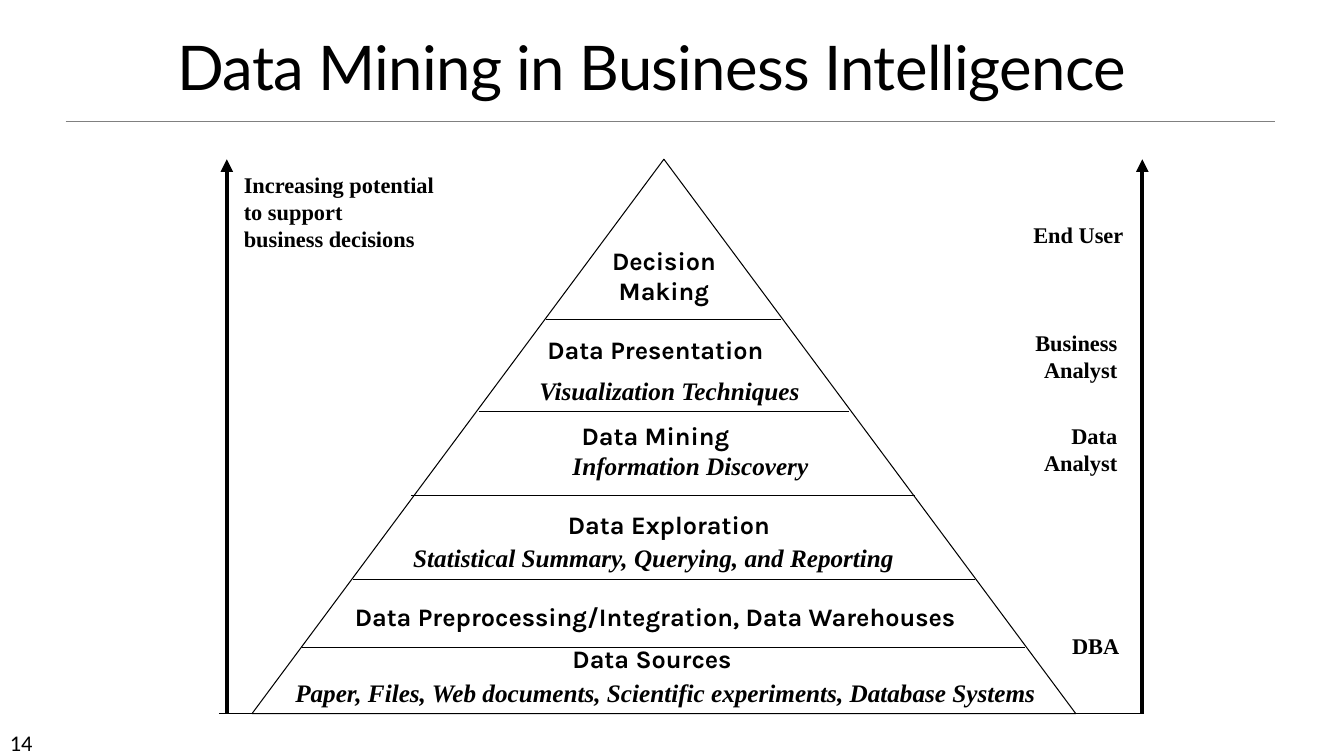
from lxml import etree
from pptx import Presentation
from pptx.dml.color import RGBColor
from pptx.enum.shapes import MSO_CONNECTOR, MSO_SHAPE
from pptx.enum.text import MSO_ANCHOR, MSO_AUTO_SIZE, PP_ALIGN
from pptx.oxml.ns import qn
from pptx.util import Inches, Pt

STRAIGHT = MSO_CONNECTOR.STRAIGHT
TRIANGLE = MSO_SHAPE.FLOWCHART_EXTRACT
LEFT, CENTER, RIGHT = PP_ALIGN.LEFT, PP_ALIGN.CENTER, PP_ALIGN.RIGHT
MIDDLE = MSO_ANCHOR.MIDDLE
GROW = MSO_AUTO_SIZE.SHAPE_TO_FIT_TEXT

BLACK = "000000"
GREY = "808080"
SERIF = "Times New Roman"
HEADING = "Karla"

presentation = Presentation()
presentation.slide_width = Inches(13.33)
presentation.slide_height = Inches(7.5)
slide = presentation.slides.add_slide(presentation.slide_layouts[6])


def add_line(start, end, width=0.75, color=BLACK, arrow=False):
    line = slide.shapes.add_connector(STRAIGHT, *map(Inches, start + end))
    line.line.color.rgb = RGBColor.from_string(color)
    line.line.width = Pt(width)
    if arrow:
        etree.SubElement(line.line._get_or_add_ln(), qn("a:tailEnd"), type="triangle")
    etree.SubElement(line._element.spPr, qn("a:effectLst"))
    return line


def add_text(box, lines, size, font, bold=True, italic=False, align=LEFT, wrap=False):
    """Add a text box with one paragraph per line."""
    shape = slide.shapes.add_textbox(*map(Inches, box))
    frame = shape.text_frame
    frame.word_wrap = wrap
    frame.auto_size = GROW
    for index, text in enumerate(lines):
        paragraph = frame.paragraphs[0] if index == 0 else frame.add_paragraph()
        paragraph.alignment = align
        run = paragraph.add_run()
        run.text = text
        run.font.size = Pt(size)
        run.font.name = font
        run.font.bold = bold
        run.font.italic = italic
        run.font.color.rgb = RGBColor.from_string(BLACK)
    return shape


# Title, rule and slide number
add_line((0.65, 1.2), (12.65, 1.2), 0.5, GREY)
add_text((0, 7.18, 1.17, 0.3), ["14"], 16, "Calibri", bold=False, wrap=True)
title = add_text((0.56, 0.42, 11.96, 0.58), ["Data Mining in Business Intelligence "],
                 44, "Lato", bold=False, align=CENTER, wrap=True).text_frame
title.auto_size = MSO_AUTO_SIZE.NONE
title.vertical_anchor = MIDDLE
title.paragraphs[0].line_spacing = 0.85
title.paragraphs[0].runs[0].font._element.set("spc", "-50")

# Pyramid and its level dividers
pyramid = slide.shapes.add_shape(TRIANGLE, *map(Inches, (2.5, 1.58, 8.17, 5.5)))
pyramid.shadow.inherit = False
pyramid.fill.background()
pyramid.line.color.rgb = RGBColor.from_string(BLACK)
pyramid.line.width = Pt(0.75)

dividers = [(3, 10.17, 6.42), (3.5, 9.67, 5.75), (4.08, 9.08, 4.92),
            (4.75, 8.42, 4.08), (5.42, 7.75, 3.17), (2.17, 11.33, 7.08)]
for left, right, y in dividers:
    add_line((left, y), (right, y))

for x in (2.25, 11.33):
    add_line((x, 7.08), (x, 1.58), 3, arrow=True)

# Side labels
add_text((2.32, 1.65, 2.1, 0.9),
         ["Increasing potential", "to support", "business decisions"], 16, SERIF)
roles = [
    ((10.14, 2.14, 1.1, 0.37), ["End User"]),
    ((10.14, 3.22, 1.04, 0.64), ["Business", "Analyst"]),
    ((10.24, 4.14, 0.94, 0.64), ["Data", "Analyst"]),
    ((10.53, 6.22, 0.67, 0.37), ["DBA"]),
]
for box, lines in roles:
    add_text(box, lines, 16, SERIF, align=RIGHT)

# Level names, then the techniques or sources under them
add_text((5.92, 2.38, 1.33, 0.7), ["Decision Making"], 18, HEADING,
         align=CENTER, wrap=True)
add_text((5.35, 5, 2.57, 0.4), ["Data Exploration"], 18, HEADING,
         align=CENTER, wrap=True)
levels = [
    ((5.33, 3.27, 2.47, 0.4), "Data Presentation", False),
    ((5.67, 4.12, 1.95, 0.4), "Data Mining", True),
    ((3.42, 5.92, 6.59, 0.4), "Data Preprocessing/Integration, Data Warehouses", False),
    ((5.58, 6.33, 1.86, 0.4), "Data Sources", False),
]
for box, text, wrap in levels:
    add_text(box, [text], 18, HEADING, wrap=wrap)

details = [
    ((5.25, 3.67, 2.82, 0.4), "Visualization Techniques", False),
    ((5.58, 4.42, 2.54, 0.4), "Information Discovery", False),
    ((4, 5.33, 5, 0.4), "Statistical Summary, Querying, and Reporting", True),
    ((2.83, 6.67, 7.78, 0.4),
     "Paper, Files, Web documents, Scientific experiments, Database Systems", True),
]
for box, text, wrap in details:
    add_text(box, [text], 18, SERIF, italic=True, wrap=wrap)

presentation.save("out.pptx")
